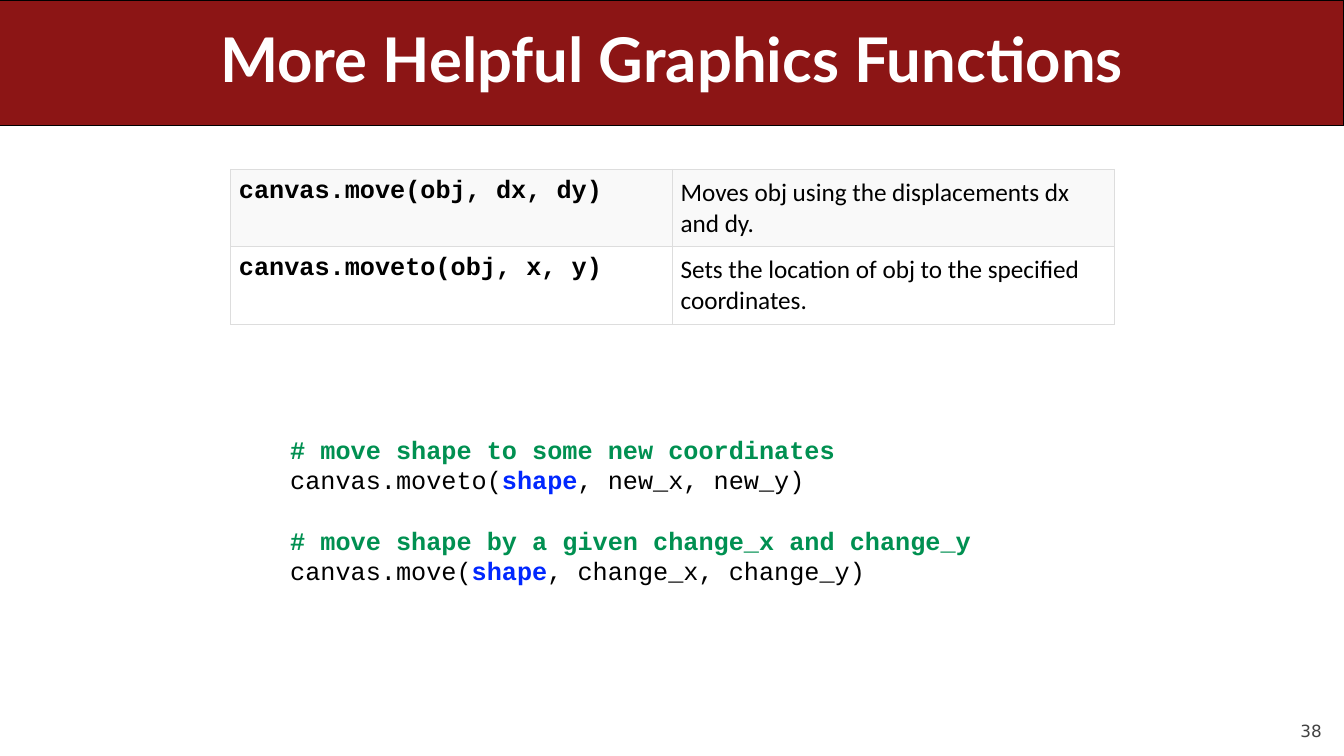
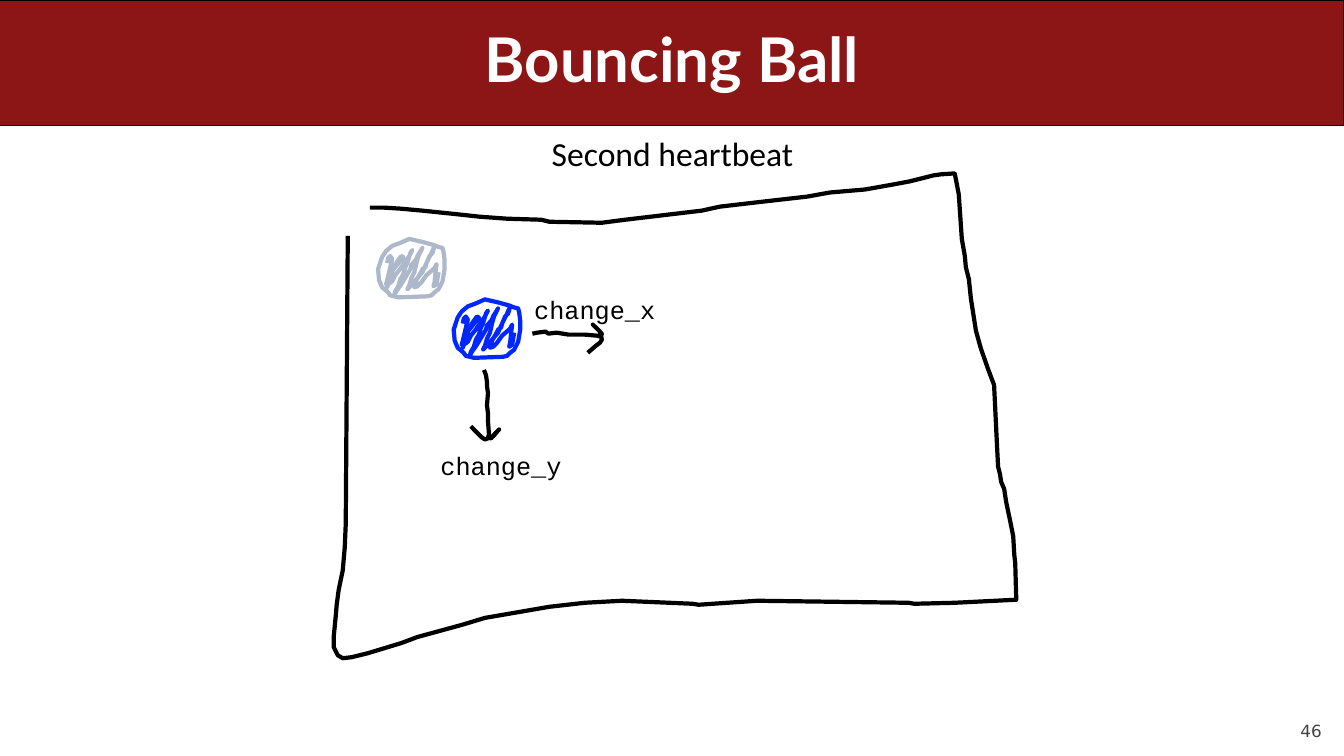
from lxml import etree
from pptx import Presentation
from pptx.dml.color import RGBColor
from pptx.enum.shapes import MSO_SHAPE
from pptx.enum.text import MSO_ANCHOR as Anchor, PP_ALIGN as Align
from pptx.oxml import parse_xml
from pptx.oxml.ns import nsdecls
from pptx.util import Inches, Pt

RED, WHITE, BLACK, GRAY = "8C1515", "FFFFFF", "000000", "424242"
GREEN, BLUE, PALE_BLUE = "009051", "0027FF", "ADB9CA"
BORDER, ROW_FILL = "DDDDDD", "F9F9F9"
TITLE_FONT, BODY_FONT, CODE_FONT, NUMBER_FONT = "Lato", "Calibri", "Courier New", "DejaVu Sans"
color = RGBColor.from_string


def add_text(slide, box, text, font, size, fill=BLACK, bold=False, align=Align.LEFT, anchor=Anchor.TOP):
    """Add a wrapped one-paragraph text box and return it."""
    shape = slide.shapes.add_textbox(*map(Inches, box))
    frame = shape.text_frame
    frame.word_wrap = True
    frame.vertical_anchor = anchor
    paragraph = frame.paragraphs[0]
    paragraph.text = text
    paragraph.alignment = align
    paragraph.font.name, paragraph.font.size, paragraph.font.bold = font, Pt(size), bold
    paragraph.font.color.rgb = color(fill)
    return shape


def add_stroke(shapes, points, line_color, shift=(0, 0), close=False):
    """Draw a pen stroke through points given in hundredths of an inch."""
    moved = [(x + shift[0], y + shift[1]) for x, y in points]
    builder = shapes.build_freeform(*moved[0], scale=Inches(0.01))
    builder.add_line_segments(moved[1:], close=close)
    shape = builder.convert_to_shape()
    shape.shadow.inherit = False
    shape.fill.background()
    shape.line.color.rgb = color(line_color)
    shape.line.width = Pt(3)


presentation = Presentation()
presentation.slide_width, presentation.slide_height = Inches(13.33), Inches(7.5)

# Shared band, title and slide number
slides = []
for title, number in (("More Helpful Graphics Functions", "38"), ("Bouncing Ball", "46")):
    slide = presentation.slides.add_slide(presentation.slide_layouts[6])
    slides.append(slide)
    band = slide.shapes.add_shape(MSO_SHAPE.RECTANGLE, 0, 0, Inches(13.33), Inches(1.25))
    band.shadow.inherit = False
    band.fill.solid()
    band.fill.fore_color.rgb = color(RED)
    band.line.color.rgb = color(BLACK)
    band.line.width = Pt(0.75)
    heading = add_text(slide, (0.5, 0, 12.33, 1.25), title, TITLE_FONT, 44, WHITE, True,
                       Align.CENTER, Anchor.MIDDLE)
    heading.text_frame.paragraphs[0].line_spacing = 0.9
    footer = add_text(slide, (12, 6.95, 1.11, 0.4), number, NUMBER_FONT, 12, GRAY,
                      align=Align.RIGHT, anchor=Anchor.BOTTOM).text_frame
    footer.margin_left = footer.margin_right = footer.margin_top = footer.margin_bottom = 0

functions_slide, ball_slide = slides

# Function table
functions = [
    ("canvas.move(obj, dx, dy)", "Moves obj using the displacements dx and dy."),
    ("canvas.moveto(obj, x, y)", "Sets the location of obj to the specified coordinates."),
]
table = functions_slide.shapes.add_table(2, 2, Inches(2.29), Inches(1.68), Inches(8.76), Inches(1.54)).table
table.first_row = table.horz_banding = False
for row, texts in enumerate(functions):
    for column, text in enumerate(texts):
        cell = table.cell(row, column)
        cell.margin_left = cell.margin_right = cell.margin_top = cell.margin_bottom = Inches(0.08)
        cell.text = text
        font = cell.text_frame.paragraphs[0].font
        font.name = BODY_FONT if column else CODE_FONT
        font.size, font.bold = Pt(18), column == 0
        font.color.rgb = color(BLACK)
        properties = cell._tc.get_or_add_tcPr()
        for side in ("lnL", "lnR", "lnT", "lnB"):
            properties.append(parse_xml(
                f'<a:{side} {nsdecls("a")} w="{Pt(0.75)}"><a:solidFill>'
                f'<a:srgbClr val="{BORDER}"/></a:solidFill></a:{side}>'))
        if row == 0:
            cell.fill.solid()
            cell.fill.fore_color.rgb = color(ROW_FILL)
        else:
            cell.fill.background()

# Code example: each line is a list of (text, colour) runs, coloured runs are bold
examples = [
    ("# move shape to some new coordinates", "canvas.moveto(", ", new_x, new_y)"),
    ("# move shape by a given change_x and change_y", "canvas.move(", ", change_x, change_y)"),
]
code = functions_slide.shapes.add_textbox(Inches(2.78), Inches(4.26), Inches(7.78), Inches(1.6)).text_frame
code.word_wrap = True
for index, (comment, call, arguments) in enumerate(examples):
    lines = [[(comment, GREEN)], [(call, BLACK), ("shape", BLUE), (arguments, BLACK)]]
    for position, runs in enumerate(lines):
        first = index == position == 0
        paragraph = code.paragraphs[0] if first else code.add_paragraph()
        if index and position == 0:
            paragraph.space_before = Pt(21.6)
        paragraph.font.name, paragraph.font.size = CODE_FONT, Pt(18)
        for text, run_color in runs:
            run = paragraph.add_run()
            run.text = text
            run.font.bold = run_color != BLACK
            run.font.color.rgb = color(run_color)

# Hand-drawn window
window = [
    (345, 234), (343, 520), (342, 543), (340, 566), (336, 585), (334, 600), (333, 612),
    (331, 632), (331, 642), (335, 650), (340, 653), (349, 652), (365, 648), (398, 638),
    (414, 632), (458, 620), (481, 613), (545, 602), (580, 598), (617, 596), (687, 599),
    (693, 600), (707, 599), (751, 596), (901, 598), (907, 599), (947, 598), (1008, 595),
    (1007, 559), (1006, 550), (1005, 532), (1002, 517), (998, 498), (996, 485), (993, 478),
    (992, 471), (990, 463), (989, 444), (986, 382), (980, 366), (973, 346), (968, 328),
    (963, 296), (961, 277), (958, 265), (957, 254), (954, 237), (951, 193), (947, 172),
    (933, 173), (926, 174), (902, 180), (886, 183), (858, 188), (823, 191), (801, 195),
    (757, 200), (714, 205), (696, 209), (620, 218), (597, 221), (545, 220), (537, 218),
    (503, 217), (476, 215), (448, 212), (419, 209), (397, 207), (381, 206), (367, 206),
]
add_stroke(ball_slide.shapes, window, BLACK)
add_text(ball_slide, (1.67, 1.27, 10, 0.5), "Second heartbeat", BODY_FONT, 24, align=Align.CENTER)

# Velocity arrows and their labels
arrow_right = [
    (528, 331), (533, 330), (541, 329), (544, 331), (552, 330), (564, 332), (572, 332),
    (580, 332), (592, 333), (596, 334), (597, 331), (591, 325), (588, 322), (595, 329),
    (597, 337), (595, 340), (591, 343), (583, 350),
]
arrow_down = [
    (480, 367), (482, 372), (483, 379), (483, 383), (484, 390), (483, 402), (484, 410),
    (484, 418), (485, 431), (484, 434), (487, 435), (492, 429), (495, 426), (489, 433),
    (481, 436), (478, 434), (474, 430), (467, 423),
]
for arrow, label, left, top in ((arrow_right, "change_x", 5.2, 2.87), (arrow_down, "change_y", 4.27, 4.42)):
    add_stroke(ball_slide.shapes, arrow, BLACK)
    add_text(ball_slide, (left, top, 1.5, 0.4), label, CODE_FONT, 18)

# Ball: previous position, then current position
outline = [
    (397, 241), (389, 244), (383, 249), (381, 252), (379, 255), (375, 267), (376, 278),
    (379, 285), (385, 290), (387, 293), (395, 295), (424, 294), (428, 293), (431, 290),
    (435, 287), (439, 279), (441, 267), (441, 258), (440, 250), (439, 246), (435, 245),
    (430, 243), (419, 240), (406, 237),
]
scribble = [
    (384, 261), (385, 256), (387, 254), (389, 257), (385, 274), (384, 278), (383, 282),
    (386, 273), (392, 265), (400, 255), (398, 254), (393, 261), (390, 267), (386, 278),
    (384, 285), (385, 282), (389, 279), (392, 273), (396, 268), (401, 261), (406, 254),
    (409, 248), (407, 251), (404, 261), (402, 265), (400, 272), (397, 277), (395, 284),
    (392, 289), (391, 293), (393, 289), (398, 282), (401, 277), (407, 267), (408, 263),
    (413, 257), (414, 254), (419, 246), (415, 254), (413, 261), (411, 270), (408, 276),
    (406, 283), (404, 287), (409, 282), (413, 277), (419, 270), (423, 261), (426, 254),
    (429, 251), (431, 244), (428, 251), (423, 261), (422, 265), (419, 267), (417, 271),
    (413, 278), (411, 285), (414, 284), (418, 280), (423, 273), (431, 266), (433, 262),
    (432, 270), (431, 280), (430, 284), (433, 282), (434, 276), (435, 270),
]
for ball_color, shift in ((PALE_BLUE, (0, 0)), (BLUE, (75, 60))):
    ball = ball_slide.shapes.add_group_shape()
    add_stroke(ball.shapes, outline, ball_color, shift, close=True)
    add_stroke(ball.shapes, scribble, ball_color, shift)

presentation.save("out.pptx")
